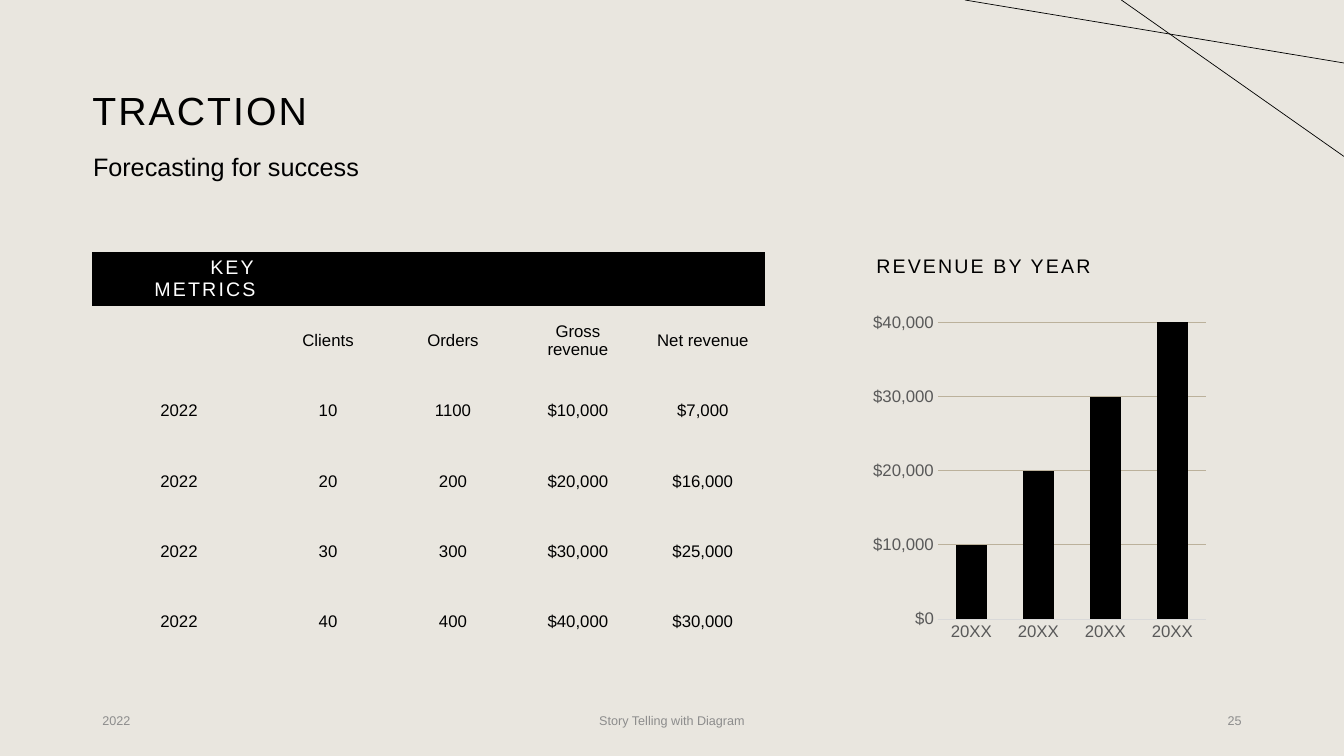
from dataclasses import dataclass

from lxml import etree
from pptx import Presentation
from pptx.chart.data import CategoryChartData
from pptx.dml.color import RGBColor
from pptx.enum.chart import XL_CHART_TYPE, XL_TICK_MARK
from pptx.enum.shapes import MSO_CONNECTOR
from pptx.enum.text import MSO_ANCHOR, MSO_AUTO_SIZE, PP_ALIGN
from pptx.oxml.ns import qn
from pptx.util import Emu, Pt

LEFT, CENTER, RIGHT = PP_ALIGN.LEFT, PP_ALIGN.CENTER, PP_ALIGN.RIGHT
TOP, MIDDLE = MSO_ANCHOR.TOP, MSO_ANCHOR.MIDDLE
NO_AUTOFIT = MSO_AUTO_SIZE.NONE
COLUMNS = XL_CHART_TYPE.COLUMN_CLUSTERED
NO_TICKS = XL_TICK_MARK.NONE
STRAIGHT = MSO_CONNECTOR.STRAIGHT
EMU_PER_PX = 9525
COMPARISON_LAYOUT = 4


@dataclass(frozen=True)
class Theme:
    font: str = "Arial"
    background: str = "E9E6DF"
    ink: str = "000000"
    paper: str = "FFFFFF"
    rule: str = "BBB19B"
    axis_text: str = "595959"
    axis_line: str = "D9D9D9"
    footer: str = "8C8C8C"
    title_size: int = 28
    subtitle_size: int = 18
    heading_size: int = 14
    label_size: int = 12
    footer_size: int = 9
    wide_spacing: float = 1.5


THEME = Theme()

METRICS = [
    ["KEY METRICS", "", "", "", ""],
    ["", "Clients", "Orders", "Gross revenue", "Net revenue"],
    ["2022", "10", "1100", "$10,000", "$7,000"],
    ["2022", "20", "200", "$20,000", "$16,000"],
    ["2022", "30", "300", "$30,000", "$25,000"],
    ["2022", "40", "400", "$40,000", "$30,000"],
]
REVENUE = [10000, 20000, 30000, 40000]


def px(value):
    return Emu(value * EMU_PER_PX)


def color(value):
    return RGBColor.from_string(value)


def write_text(frame, text, *, size, ink=THEME.ink, align=LEFT, spacing=0,
               line_spacing=None, space_before=None):
    paragraph = frame.paragraphs[0]
    paragraph.alignment = align
    paragraph.line_spacing = line_spacing
    if space_before is not None:
        paragraph.space_before = Pt(space_before)
    run = paragraph.add_run()
    run.text = text
    run.font.name = THEME.font
    run.font.size = Pt(size)
    run.font.bold = False
    run.font.color.rgb = color(ink)
    run.font._element.set("spc", str(round(spacing * 100)))


def place(shape, left, top, width, height):
    shape.left, shape.top = px(left), px(top)
    shape.width, shape.height = px(width), px(height)


def fill_placeholder(shape, box, text, anchor=TOP, **text_format):
    place(shape, *box)
    frame = shape.text_frame
    frame.auto_size = NO_AUTOFIT
    frame.vertical_anchor = anchor
    write_text(frame, text, line_spacing=0.9, **text_format)


def add_footer(slide, left, width, text, align):
    box = slide.shapes.add_textbox(px(left), px(667), px(width), px(38))
    frame = box.text_frame
    frame.word_wrap = True
    frame.vertical_anchor = MIDDLE
    write_text(frame, text, size=THEME.footer_size, ink=THEME.footer, align=align)


def set_borders(cell, bottom_rule):
    properties = cell._tc.get_or_add_tcPr()
    for side in ("lnL", "lnR", "lnT", "lnB"):
        border = etree.SubElement(properties, qn(f"a:{side}"), w=str(Pt(1)))
        if side == "lnB" and bottom_rule:
            fill = etree.SubElement(border, qn("a:solidFill"))
            etree.SubElement(fill, qn("a:srgbClr"), val=THEME.rule)
        else:
            etree.SubElement(border, qn("a:noFill"))


def format_cell(cell, text, is_header, bottom_rule):
    set_borders(cell, bottom_rule)
    cell.vertical_anchor = MIDDLE
    cell.margin_top = cell.margin_bottom = px(4)
    if is_header:
        cell.fill.solid()
        cell.fill.fore_color.rgb = color(THEME.ink)
    else:
        cell.fill.background()
    if text and is_header:
        # The wide left margin sets the heading on two lines
        cell.margin_left = px(30)
        write_text(cell.text_frame, text, size=THEME.heading_size, ink=THEME.paper,
                   align=RIGHT, spacing=THEME.wide_spacing)
    elif text:
        write_text(cell.text_frame, text, size=THEME.label_size, align=CENTER)


def add_metrics_table(slide):
    widths = [165] + [119] * 4
    heights = [51] + [67] * 5
    frame = slide.shapes.add_table(len(heights), len(widths), px(88), px(240),
                                   px(sum(widths)), px(sum(heights)))
    table = frame.table
    table.first_row = table.horz_banding = False
    for column, width in zip(table.columns, widths):
        column.width = px(width)
    for row, height in zip(table.rows, heights):
        row.height = px(height)
    last = len(METRICS) - 1
    for row_index, values in enumerate(METRICS):
        for column_index, text in enumerate(values):
            format_cell(table.cell(row_index, column_index), text,
                        row_index == 0, 0 < row_index < last)


def format_axis(axis):
    axis.major_tick_mark = axis.minor_tick_mark = NO_TICKS
    font = axis.tick_labels.font
    font.name = THEME.font
    font.size = Pt(THEME.label_size)
    font.color.rgb = color(THEME.axis_text)


def format_line(line, ink, width):
    line.color.rgb = color(ink)
    line.width = Pt(width)


def add_revenue_chart(slide):
    data = CategoryChartData()
    data.categories = ["20XX"] * len(REVENUE)
    data.add_series("Series 1", REVENUE)
    chart = slide.shapes.add_chart(COLUMNS, px(825), px(292), px(330), px(325),
                                   data).chart
    chart.has_legend = chart.has_title = False
    chart.font.name = THEME.font
    chart.font.size = Pt(10)
    chart.font.color.rgb = color(THEME.ink)

    # Columns
    plot = chart.plots[0]
    plot.vary_by_categories = False
    plot.gap_width, plot.overlap = 118, -3
    fill = plot.series[0].format.fill
    fill.solid()
    fill.fore_color.rgb = color(THEME.ink)

    # Axes
    years, dollars = chart.category_axis, chart.value_axis
    format_axis(years)
    format_axis(dollars)
    format_line(years.format.line, THEME.axis_line, 0.75)
    dollars.format.line.fill.background()
    dollars.minimum_scale, dollars.maximum_scale = 0, 40000
    dollars.major_unit = 10000
    dollars.has_major_gridlines = True
    format_line(dollars.major_gridlines.format.line, THEME.rule, 0.75)
    dollars.tick_labels.number_format = "[$$-409]#,##0"
    dollars.tick_labels.number_format_is_linked = False


def add_line(slide, start, end):
    points = [px(value) for value in (*start, *end)]
    connector = slide.shapes.add_connector(STRAIGHT, *points)
    format_line(connector.line, THEME.ink, 0.5)
    etree.SubElement(connector._element.spPr, qn("a:effectLst"))


def main():
    presentation = Presentation()
    presentation.slide_width, presentation.slide_height = px(1280), px(720)
    slide = presentation.slides.add_slide(presentation.slide_layouts[COMPARISON_LAYOUT])
    slide.background.fill.solid()
    slide.background.fill.fore_color.rgb = color(THEME.background)

    # Title and headings
    title, subtitle, left_content, heading, right_content = slide.placeholders
    title.text_frame.margin_left = 0
    fill_placeholder(title, (88, 38, 1104, 139), "TRACTION", anchor=MIDDLE,
                     size=THEME.title_size, spacing=THEME.wide_spacing)
    fill_placeholder(subtitle, (79, 143, 710, 52), "Forecasting for success",
                     size=THEME.subtitle_size, space_before=10)
    fill_placeholder(heading, (825, 240, 330, 33), "REVENUE BY YEAR",
                     size=THEME.heading_size, spacing=THEME.wide_spacing,
                     space_before=10)
    for unused in (left_content, right_content):
        unused._element.getparent().remove(unused._element)

    # Figures
    add_metrics_table(slide)
    add_revenue_chart(slide)

    # Footer
    add_footer(slide, 88, 288, "2022", LEFT)
    add_footer(slide, 424, 432, "Story Telling with Diagram", CENTER)
    add_footer(slide, 904, 288, "25", RIGHT)

    # Corner lines
    add_line(slide, (1068, 0), (1280, 149))
    add_line(slide, (919, 0), (1280, 60))

    presentation.save("out.pptx")


if __name__ == "__main__":
    main()
